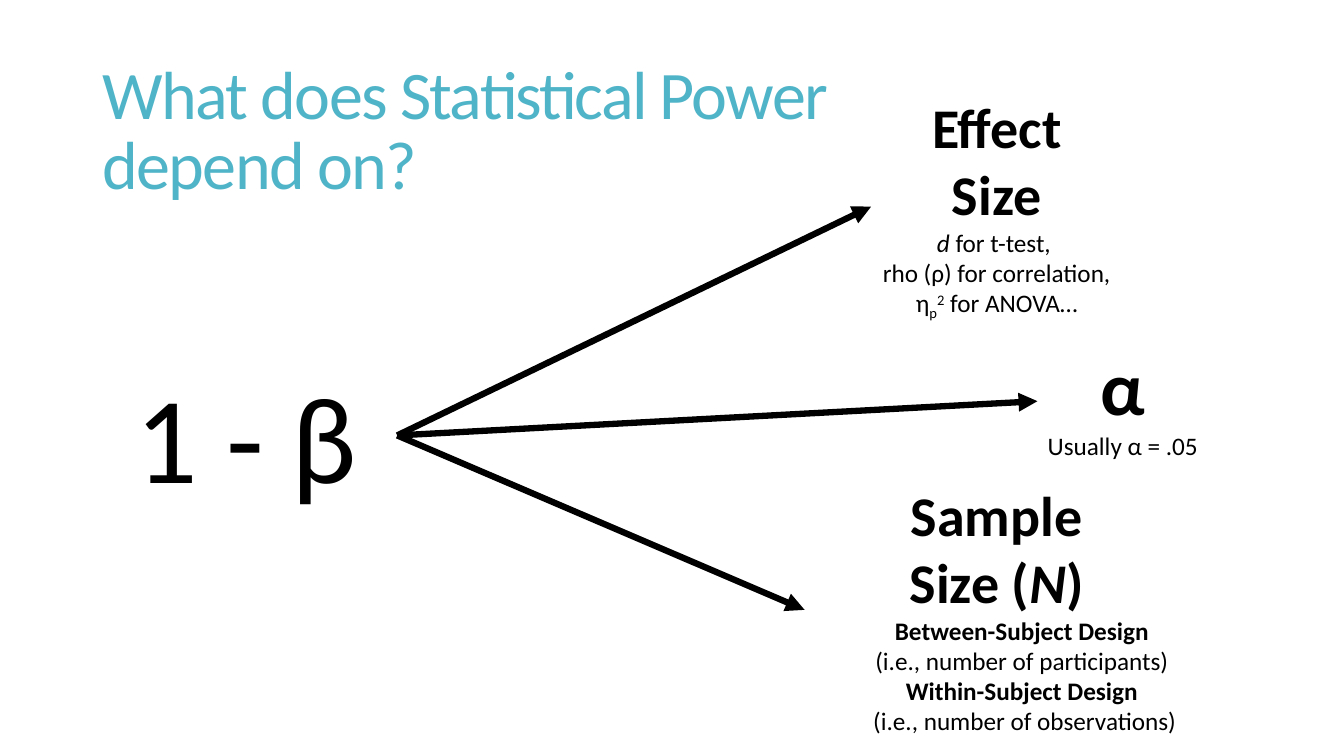
from lxml.etree import SubElement
from pptx import Presentation
from pptx.dml.color import RGBColor
from pptx.enum.shapes import MSO_CONNECTOR
from pptx.enum.text import MSO_ANCHOR, MSO_AUTO_SIZE, PP_ALIGN
from pptx.oxml.ns import qn
from pptx.util import Inches, Pt

THEME = {
    "font": "Calibri",
    "title_color": RGBColor(0x50, 0xB4, 0xC8),
    "ink": RGBColor(0, 0, 0),
    "title": Pt(48.6),
    "formula": Pt(88),
    "symbol": Pt(54),
    "heading": Pt(40),
    "detail": Pt(18),
    "arrow": Pt(4.5),
}
BOLD, ITALIC = {"bold": True}, {"italic": True}
BOLD_ITALIC = {**BOLD, **ITALIC}
SUBSCRIPT, SUPERSCRIPT = {"baseline": -25000}, {"baseline": 30000}
TITLE_STYLE = {"color": THEME["title_color"], "spc": -120}

# A paragraph is (size name, left indent, runs); a run is (text, format).
TITLE_BOX = (0.92, 0.6, 11.5, 1.45)
TITLE = [("title", 0, [("What does Statistical Power \vdepend on?", TITLE_STYLE)])]

FORMULA_BOX = (1.25, 3.53, 2.7, 1.58)
FORMULA = [("formula", 0, [("1 - β ", {})])]

# Each factor: box, arrow tip, paragraphs.
FACTORS = [
    ((8.64, 0.87, 2.49, 2.36), (8.64, 2.05), [
        ("heading", 0, [("Effect", BOLD)]),
        ("heading", 0, [("Size", BOLD)]),
        ("detail", 0, [("d ", ITALIC), ("for t-test, ", {})]),
        ("detail", 0, [("rho (ρ) for correlation,", {})]),
        ("detail", 0, [("η", {}), ("p", SUBSCRIPT), ("2", SUPERSCRIPT),
                       (" for ANOVA…", {})]),
    ]),
    ((10.29, 3.32, 1.69, 1.31), (10.29, 3.98), [
        ("symbol", 0, [("α", BOLD)]),
        ("detail", 0, [("Usually α = .05", {})]),
    ]),
    ((7.98, 4.72, 3.81, 2.66), (7.98, 6.05), [
        ("heading", 0, [("Sample", BOLD)]),
        ("heading", 0, [("Size (", BOLD), ("N", BOLD_ITALIC), (")", BOLD)]),
        ("detail", 0.5, [("Between-Subject Design", BOLD)]),
        ("detail", 0.5, [("(i.e., number of participants)", {})]),
        ("detail", 0.5, [("Within-Subject Design", BOLD)]),
        ("detail", 0.5, [(" (i.e., number of observations)", {})]),
    ]),
]
ARROW_START = (3.94, 4.32)


def add_run(paragraph, text, size, style):
    """Add one run of text with its font and character format."""
    run = paragraph.add_run()
    run.text = text
    style = dict(style)
    run.font.color.rgb = style.pop("color", THEME["ink"])
    values = {"name": THEME["font"], "size": size, "bold": False, "italic": False}
    for name in ("spc", "baseline"):
        if name in style:
            run._r.get_or_add_rPr().set(name, str(style.pop(name)))
    for name, value in {**values, **style}.items():
        setattr(run.font, name, value)


def add_text(slide, box, paragraphs, paragraph_format, frame_format):
    """Add a text box filled with the given paragraphs."""
    frame = slide.shapes.add_textbox(*map(Inches, box)).text_frame
    for name, value in frame_format.items():
        setattr(frame, name, value)
    for index, (size, indent, runs) in enumerate(paragraphs):
        paragraph = frame.add_paragraph() if index else frame.paragraphs[0]
        for name, value in paragraph_format.items():
            setattr(paragraph, name, value)
        if indent:
            paragraph.level = 1
            paragraph._p.get_or_add_pPr().set("marL", str(Inches(indent)))
        for position, piece in enumerate(
                part for text, style in runs for part in split_lines(text, style)):
            text, style = piece
            if text == "\v":
                paragraph.add_line_break()
            else:
                add_run(paragraph, text, THEME[size], style)


def split_lines(text, style):
    """Split a run at its line breaks, keeping each break as its own piece."""
    first, line_break, rest = text.partition("\v")
    return [(part, style) for part in (first, line_break, rest) if part]


def add_arrow(slide, start, end):
    """Add a thick line with a triangle head at its end."""
    arrow = slide.shapes.add_connector(
        MSO_CONNECTOR.STRAIGHT, *map(Inches, start + end))
    arrow.line.color.rgb = THEME["ink"]
    arrow.line.width = THEME["arrow"]
    SubElement(arrow.line._get_or_add_ln(), qn("a:tailEnd"), type="triangle")
    SubElement(arrow._element.spPr, qn("a:effectLst"))


def main():
    """Build the slide and save it."""
    presentation = Presentation()
    presentation.slide_width = Inches(13.33)
    presentation.slide_height = Inches(7.5)
    slide = presentation.slides.add_slide(presentation.slide_layouts[6])

    label_frame = {"word_wrap": False, "auto_size": MSO_AUTO_SIZE.SHAPE_TO_FIT_TEXT}
    add_text(slide, TITLE_BOX, TITLE, {"line_spacing": 0.85},
             {"word_wrap": True, "vertical_anchor": MSO_ANCHOR.MIDDLE})
    add_text(slide, FORMULA_BOX, FORMULA, {}, label_frame)
    for box, _, paragraphs in FACTORS:
        add_text(slide, box, paragraphs, {"alignment": PP_ALIGN.CENTER}, label_frame)
    for _, tip, _ in FACTORS:
        add_arrow(slide, ARROW_START, tip)
    presentation.save("out.pptx")


main()
